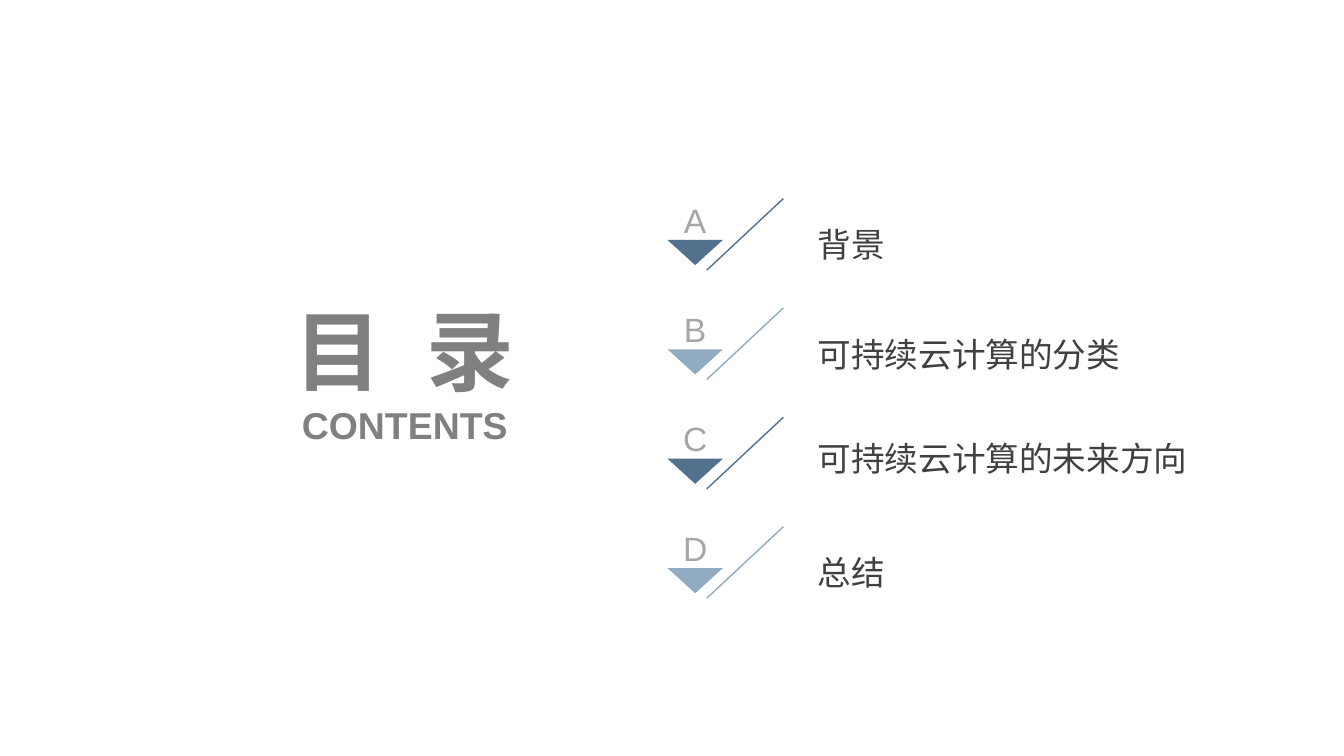
from lxml import etree
from pptx import Presentation
from pptx.dml.color import RGBColor
from pptx.enum import shapes, text
from pptx.oxml import ns
from pptx.util import Inches, Pt

DARK_BLUE = RGBColor(0x51, 0x71, 0x8D)
LIGHT_BLUE = RGBColor(0x91, 0xAC, 0xC2)
TITLE_GRAY = RGBColor(0x80, 0x80, 0x80)
LETTER_GRAY = RGBColor(0xA6, 0xA6, 0xA6)
LABEL_GRAY = RGBColor(0x40, 0x40, 0x40)
CJK_FONT = "Noto Sans CJK SC"

ROW_TOP, ROW_PITCH = 1.97, 1.085
# letter, label, label top, width, height, font, line spacing
ENTRIES = [
    ("A", "背景", 2.13, 3.18, 0.47, CJK_FONT, 1.3),
    ("B", "可持续云计算的分类", 3.19, 3.67, 0.52, CJK_FONT, 1.3),
    ("C", "可持续云计算的未来方向", 4.34, 4.99, 0.4, "Arial", None),
    ("D", "总结", 5.38, 3.18, 0.47, CJK_FONT, 1.3),
]


def add_text(s, box, runs, size, color, font="Arial", bold=False,
             align=text.PP_ALIGN.CENTER, anchor=text.MSO_ANCHOR.MIDDLE,
             spacing=None):
    """Add a one-line text box; runs holds (text, letter spacing in points)."""
    sp = s.shapes.add_textbox(*map(Inches, box))
    tf = sp.text_frame
    frame_format = {
        "margin_left": 0, "margin_top": 0, "margin_right": 0,
        "margin_bottom": 0, "word_wrap": True, "vertical_anchor": anchor,
        "auto_size": text.MSO_AUTO_SIZE.SHAPE_TO_FIT_TEXT,
    }
    for name, value in frame_format.items():
        setattr(tf, name, value)
    p = tf.paragraphs[0]
    p.alignment = align
    p.line_spacing = spacing
    for words, tracking in runs:
        r = p.add_run()
        r.text = words
        for name, value in {"name": font, "size": Pt(size), "bold": bold}.items():
            setattr(r.font, name, value)
        r.font.color.rgb = color
        props = r._r.get_or_add_rPr()
        etree.SubElement(props, ns.qn("a:ea"), typeface=CJK_FONT)
        if tracking:
            props.set("spc", str(round(tracking * 100)))


def add_slash(s, top, color):
    line = s.shapes.add_connector(
        shapes.MSO_CONNECTOR.STRAIGHT,
        Inches(7.77), Inches(top), Inches(7.01), Inches(top + 0.71))
    line.line.color.rgb = color
    line.line.width = Pt(1)
    etree.SubElement(line._element.spPr, ns.qn("a:effectLst"))


def add_down_triangle(s, left, top, width, height, color):
    builder = s.shapes.build_freeform(Inches(left), Inches(top))
    builder.add_line_segments([
        (Inches(left + width), Inches(top)),
        (Inches(left + width / 2), Inches(top + height)),
    ], close=True)
    sp = builder.convert_to_shape()
    sp.shadow.inherit = False
    sp.fill.solid()
    sp.fill.fore_color.rgb = color
    sp.line.fill.background()


def add_entry(s, index, entry):
    letter, label, label_top, width, height, font, spacing = entry
    top = ROW_TOP + index * ROW_PITCH
    color = LIGHT_BLUE if index % 2 else DARK_BLUE
    add_text(s, (8.11, label_top, width, height), [(label, 0)], 24, LABEL_GRAY,
             font=font, align=text.PP_ALIGN.LEFT, spacing=spacing)
    add_slash(s, top, color)
    add_down_triangle(s, 6.62, top + 0.41, 0.55, 0.25, color)
    add_text(s, (6.6, top + 0.01, 0.59, 0.4), [(letter, 0)], 24, LETTER_GRAY,
             anchor=text.MSO_ANCHOR.BOTTOM)


def main():
    prs = Presentation()
    prs.slide_width, prs.slide_height = Inches(13.33), Inches(7.5)
    s = prs.slides.add_slide(prs.slide_layouts[6])
    add_text(s, (2.52, 2.94, 2.98, 1.05), [("目", 0), (" ", 17.4), ("录", 0)],
             62.6, TITLE_GRAY, bold=True)
    add_text(s, (2.54, 3.99, 2.95, 0.45), [("CONTENTS", 0)], 26.7, TITLE_GRAY,
             bold=True, anchor=text.MSO_ANCHOR.TOP)
    for index, entry in enumerate(ENTRIES):
        add_entry(s, index, entry)
    prs.save("out.pptx")


if __name__ == "__main__":
    main()
